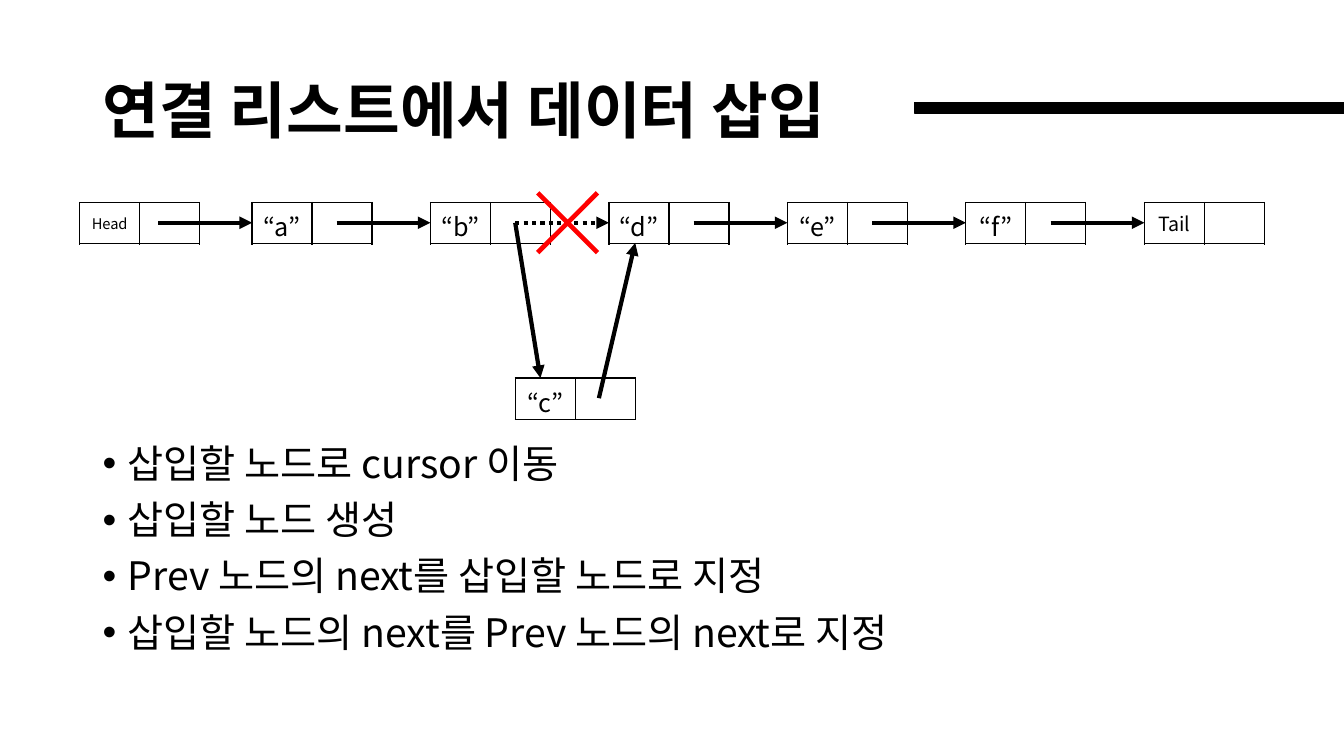
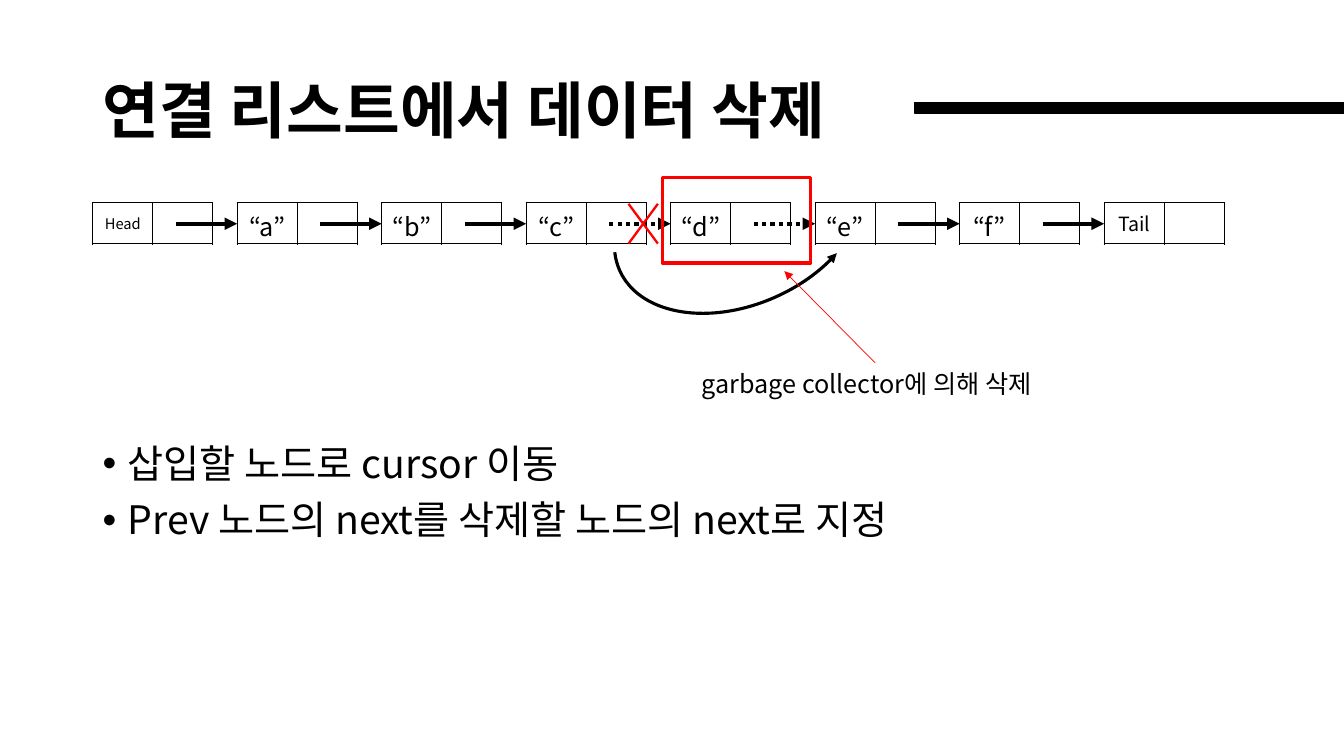
from pptx import Presentation
from pptx.dml.color import RGBColor
from pptx.enum.dml import MSO_LINE
from pptx.enum.shapes import MSO_CONNECTOR, MSO_SHAPE as SHAPE
from pptx.enum.text import MSO_ANCHOR as ANCHOR, PP_ALIGN as ALIGN
from pptx.oxml.xmlchemy import OxmlElement
from pptx.util import Inches, Pt

FONT = "Noto Sans CJK KR"
BLACK, RED = "000000", "FF0000"
CELL_W, NODE_H = 0.595, 0.41
ROW_Y = 2.01

prs = Presentation()
prs.slide_width, prs.slide_height = Inches(13.33), Inches(7.5)


def rgb(color):
    return RGBColor.from_string(color)


def child(parent, tag, **attrs):
    el = OxmlElement(tag)
    for name, value in attrs.items():
        el.set(name, str(value))
    parent.append(el)
    return el


def add_run(p, text, size, bold=False):
    r = p.add_run()
    r.text = text
    r.font.size, r.font.bold, r.font.name = Pt(size), bold, FONT
    r.font.color.rgb = rgb(BLACK)
    child(r._r.get_or_add_rPr(), "a:ea", typeface=FONT)


def add_text(s, x, y, w, h, wrap=True):
    tf = s.shapes.add_textbox(Inches(x), Inches(y), Inches(w), Inches(h)).text_frame
    tf.word_wrap = wrap
    return tf


def add_shape(s, kind, x, y, w, h, fill=None, line=None, width=1):
    sp = s.shapes.add_shape(kind, Inches(x), Inches(y), Inches(w), Inches(h))
    sp.shadow.inherit = False
    if fill:
        sp.fill.solid()
        sp.fill.fore_color.rgb = rgb(fill)
    else:
        sp.fill.background()
    if line:
        sp.line.color.rgb = rgb(line)
        sp.line.width = Pt(width)
    else:
        sp.line.fill.background()
    return sp


def add_arrow(s, x1, y1, x2, y2, color=BLACK, width=3, dotted=False):
    ln = s.shapes.add_connector(MSO_CONNECTOR.STRAIGHT, Inches(x1), Inches(y1),
                                Inches(x2), Inches(y2))
    ln.line.color.rgb = rgb(color)
    ln.line.width = Pt(width)
    if dotted:
        ln.line.dash_style = MSO_LINE.ROUND_DOT
    child(ln.line._get_or_add_ln(), "a:tailEnd", type="triangle")
    child(ln._element.spPr, "a:effectLst")


def add_cross(s, x, y, w, h):
    cross = add_shape(s, SHAPE.MATH_MULTIPLY, x, y, w, h, fill=RED)
    cross.adjustments[0] = 0.041


def add_borders(cell):
    tc_pr = cell._tc.get_or_add_tcPr()
    for i, side in enumerate(("L", "R", "T", "B")):
        ln = OxmlElement(f"a:ln{side}")
        ln.set("w", str(Pt(1)))
        child(child(ln, "a:solidFill"), "a:srgbClr", val=BLACK)
        tc_pr.insert(i, ln)


def add_node(s, x, y, label):
    """A list node: a data cell and a pointer cell."""
    size = {"Head": 10.5, "Tail": 14}.get(label, 18)
    table = s.shapes.add_table(1, 2, Inches(x), Inches(y),
                               Inches(2 * CELL_W), Inches(NODE_H)).table
    table.first_row = table.horz_banding = False
    for col in table.columns:
        col.width = Inches(CELL_W)
    for cell in table.iter_cells():
        cell.fill.background()
        add_borders(cell)
    data, pointer = table.iter_cells()
    p = data.text_frame.paragraphs[0]
    p.alignment = ALIGN.CENTER
    if label in ("Head", "Tail"):
        data.vertical_anchor = ANCHOR.MIDDLE
        text = label
    else:
        text = f"“{label}”"
    add_run(p, text, size)
    # The empty cell must not make the Head row taller
    pointer_size = size if label == "Head" else 18
    child(pointer.text_frame.paragraphs[0]._p, "a:endParaRPr", sz=int(pointer_size * 100))


def add_list(s, labels, lefts, link_y, link_w, cut):
    """A row of nodes; links leaving the nodes in cut are dotted."""
    for label, x in zip(labels, lefts):
        add_node(s, x, ROW_Y, label)
    for label, x in zip(labels, lefts[1:]):
        add_arrow(s, x - link_w, link_y, x, link_y, dotted=label in cut)


def add_bullets(s, lines):
    tf = add_text(s, 0.92, 4.36, 11.5, 2.4)
    for i, line in enumerate(lines):
        p = tf.add_paragraph() if i else tf.paragraphs[0]
        p.line_spacing, p.space_before = 0.9, Pt(10)
        p_pr = p._p.get_or_add_pPr()
        p_pr.set("marL", str(Inches(0.25)))
        p_pr.set("indent", str(Inches(-0.25)))
        child(p_pr, "a:buFont", typeface="Arial")
        child(p_pr, "a:buChar", char="•")
        add_run(p, line, 28)


def add_slide(title):
    """A blank slide with the shared title and the bar to its right."""
    s = prs.slides.add_slide(prs.slide_layouts[6])
    tf = add_text(s, 0.92, 0.4, 11.5, 1.45)
    tf.vertical_anchor = ANCHOR.MIDDLE
    tf.paragraphs[0].line_spacing = 0.9
    add_run(tf.paragraphs[0], title, 44, bold=True)
    for x, w in ((10.07, 3.26), (9.07, 3.64)):
        add_shape(s, SHAPE.RECTANGLE, x, 1.02, w, 0.1, fill=BLACK, line=BLACK)
    return s


def insertion_slide():
    s = add_slide("연결 리스트에서 데이터 삽입")
    lefts = [0.79] + [2.5 + 1.77 * i for i in range(6)]
    add_list(s, ["Head", "a", "b", "d", "e", "f", "Tail"], lefts, 2.21, 0.93, cut="b")
    # New node and its two links
    add_node(s, 5.11, 3.75, "c")
    add_cross(s, 5.06, 1.64, 1.14, 1.14)
    add_arrow(s, 5.11, 2.21, 5.36, 3.75)
    add_arrow(s, 5.94, 3.95, 6.3, 2.41)
    add_bullets(s, ["삽입할 노드로 cursor 이동",
                    "삽입할 노드 생성",
                    "Prev 노드의 next를 삽입할 노드로 지정",
                    "삽입할 노드의 next를 Prev 노드의 next로 지정"])


def deletion_slide():
    s = add_slide("연결 리스트에서 데이터 삭제")
    lefts = [0.92 + 1.433 * i for i in range(8)]
    add_list(s, ["Head", "a", "b", "c", "d", "e", "f", "Tail"], lefts, 2.22, 0.61, cut="cd")
    add_bullets(s, ["삽입할 노드로 cursor 이동",
                    "Prev 노드의 next를 삭제할 노드의 next로 지정"])
    # New link around the deleted node; arc angles are in 60000ths of a degree
    arc = add_shape(s, SHAPE.ARC, 6.03, 1.27, 2.62, 1.75, line=BLACK, width=2.25)
    for i, degrees in enumerate((225.3, 8.36)):
        arc.adjustments[i] = degrees * 0.6
    arc.rotation = 155.6
    child(arc.line._get_or_add_ln(), "a:headEnd", type="triangle")
    # Deleted node and its caption
    add_cross(s, 6.1, 1.84, 0.56, 0.76)
    add_shape(s, SHAPE.RECTANGLE, 6.57, 1.76, 1.47, 0.85, line=RED, width=2.25)
    add_arrow(s, 8.68, 3.6, 7.78, 2.69, color=RED, width=0.5)
    caption = add_text(s, 6.86, 3.6, 3.64, 0.4, wrap=False)
    add_run(caption.paragraphs[0], "garbage collector에 의해 삭제", 18)


insertion_slide()
deletion_slide()
prs.save("out.pptx")
